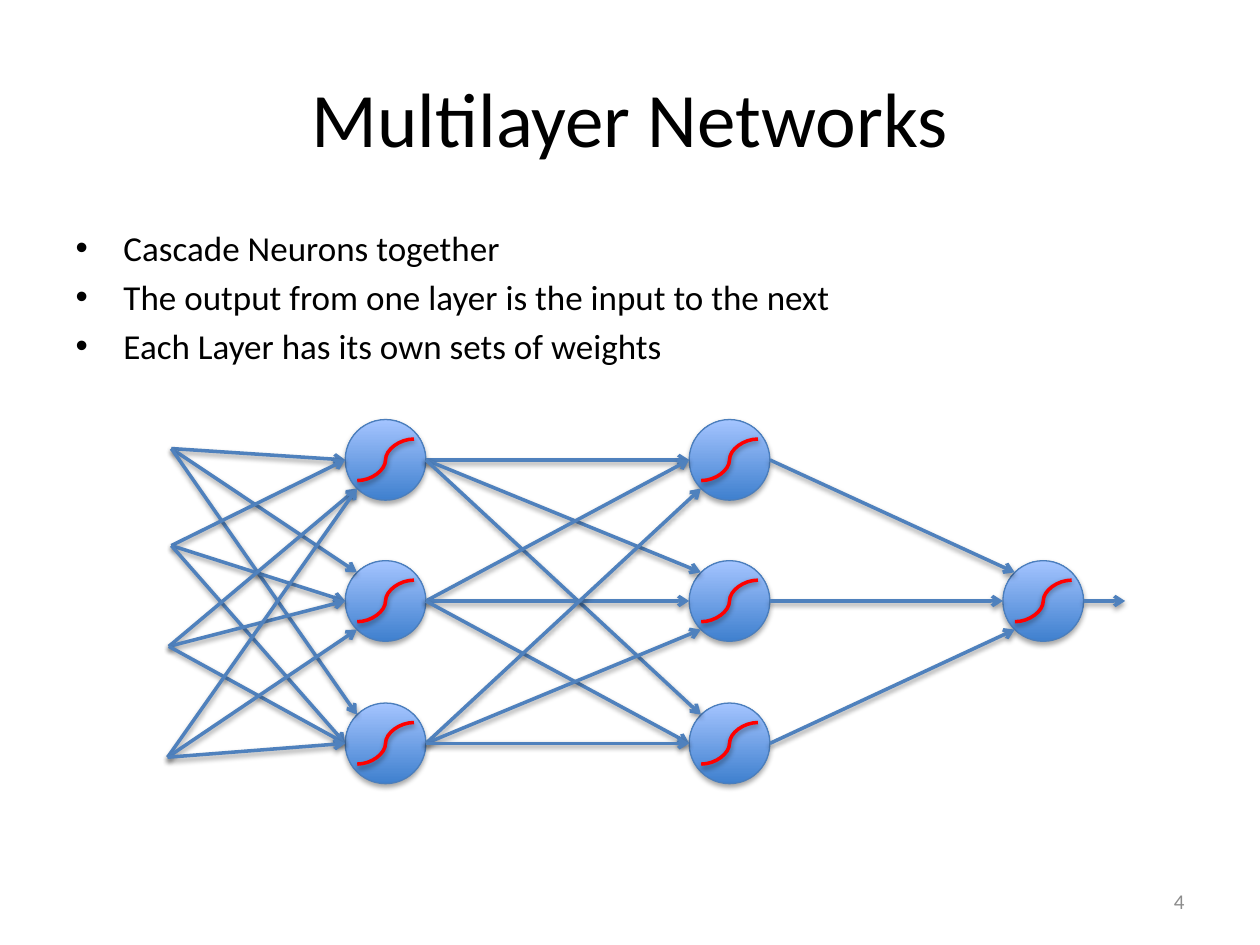
from lxml import etree
from pptx import Presentation
from pptx import util as u
from pptx.dml.color import RGBColor
from pptx.enum import shapes, text
from pptx.oxml import ns

# Content
TITLE = "Multilayer Networks"
BULLETS = [
    "Cascade Neurons together",
    "The output from one layer is the input to the next",
    "Each Layer has its own sets of weights",
]
PAGE_NUMBER = "4"

# Network geometry in inches
DIAMETER = 0.64
RADIUS = DIAMETER / 2
ROW_Y = [3.65, 4.77, 5.9]
LAYERS = [
    [(3.06, y) for y in ROW_Y],
    [(5.79, y) for y in ROW_Y],
    [(8.28, ROW_Y[1])],
]
INPUTS = [(1.36, 3.56), (1.36, 4.33), (1.34, 5.13), (1.33, 6.01)]
OUTPUT_LENGTH = 0.33
CURVE_WIDTH, CURVE_HEIGHT = 0.45, 0.33

# Where arrows enter a neuron: one row per source, one letter per target
# (U upper left, L left, D lower left)
ENTRIES = [
    ["LUU", "LLL", "DLL", "DDL"],
    ["LUU", "LLL", "DDL"],
    ["U", "L", "D"],
]
DIAGONAL = RADIUS * 0.71
ENTRY_OFFSETS = {"U": (-DIAGONAL, -DIAGONAL), "L": (-RADIUS, 0), "D": (-DIAGONAL, DIAGONAL)}

FONT = "Calibri"
BLACK = RGBColor(0x00, 0x00, 0x00)
GREY = RGBColor(0x8C, 0x8C, 0x8C)
RED = RGBColor(0xFF, 0x00, 0x00)
ARROW_BLUE = RGBColor(0x4F, 0x81, 0xBD)
OUTLINE_BLUE = RGBColor(0x4B, 0x7E, 0xBC)
DARK_BLUE = RGBColor(0x3F, 0x80, 0xCE)
LIGHT_BLUE = RGBColor(0xA4, 0xC4, 0xFF)


def place(shape, left, top, width, height):
    shape.left, shape.top = u.Inches(left), u.Inches(top)
    shape.width, shape.height = u.Inches(width), u.Inches(height)


def style_text(paragraph, size, color, alignment):
    paragraph.alignment = alignment
    for run in paragraph.runs:
        run.font.name = FONT
        run.font.size = u.Pt(size)
        run.font.color.rgb = color


def add_shadow(shape, distance, opacity):
    effects = etree.SubElement(shape._element.spPr, ns.qn("a:effectLst"))
    shadow = etree.SubElement(
        effects, ns.qn("a:outerShdw"), blurRad=str(u.Pt(3.1)),
        dist=str(u.Pt(distance)), dir="5400000", rotWithShape="0")
    color = etree.SubElement(shadow, ns.qn("a:srgbClr"), val="000000")
    etree.SubElement(color, ns.qn("a:alpha"), val=str(opacity * 1000))


def add_line(parent, kind, start, end, color):
    line = parent.add_connector(kind, *[u.Inches(v) for v in (*start, *end)])
    line.line.color.rgb = color
    line.line.width = u.Pt(2)
    add_shadow(line, 1.6, 38)
    return line


def add_arrow(slide, start, end):
    arrow = add_line(slide.shapes, shapes.MSO_CONNECTOR.STRAIGHT, start, end, ARROW_BLUE)
    etree.SubElement(arrow.line._get_or_add_ln(), ns.qn("a:tailEnd"), type="arrow")


def add_neuron(slide, x, y):
    group = slide.shapes.add_group_shape().shapes
    circle = group.add_shape(
        shapes.MSO_SHAPE.OVAL, u.Inches(x - RADIUS), u.Inches(y - RADIUS),
        u.Inches(DIAMETER), u.Inches(DIAMETER))
    circle.fill.gradient()
    circle.fill.gradient_angle = 90
    for stop, color, position in zip(
            circle.fill.gradient_stops, (DARK_BLUE, LIGHT_BLUE), (0, 1)):
        stop.color.rgb = color
        stop.position = position
    circle.line.color.rgb = OUTLINE_BLUE
    circle.line.width = u.Pt(0.75)
    add_shadow(circle, 1.8, 35)
    # Sigmoid curve
    dx, dy = CURVE_WIDTH / 2, CURVE_HEIGHT / 2
    add_line(group, shapes.MSO_CONNECTOR.CURVE, (x - dx, y + dy), (x + dx, y - dy), RED)


def main():
    presentation = Presentation()
    presentation.slide_width, presentation.slide_height = u.Inches(10), u.Inches(7.5)
    slide = presentation.slides.add_slide(presentation.slide_layouts[1])

    # Title
    title = slide.shapes.title
    place(title, 0.5, 0.3, 9, 1.25)
    title.text_frame.text = TITLE
    title.text_frame.vertical_anchor = text.MSO_ANCHOR.MIDDLE
    style_text(title.text_frame.paragraphs[0], 44, BLACK, text.PP_ALIGN.CENTER)

    # Bullet list
    body = slide.placeholders[1]
    place(body, 0.5, 1.75, 9, 1.32)
    body.text_frame.text = "\n".join(BULLETS)
    for index, paragraph in enumerate(body.text_frame.paragraphs):
        properties = paragraph._p.get_or_add_pPr()
        properties.set("marL", str(u.Inches(0.38)))
        properties.set("indent", str(-u.Inches(0.38)))
        etree.SubElement(properties, ns.qn("a:buChar"), char="•")
        paragraph.space_before = u.Pt(4 if index else 0)
        style_text(paragraph, 20, BLACK, text.PP_ALIGN.LEFT)

    # Neurons
    for layer in LAYERS:
        for x, y in layer:
            add_neuron(slide, x, y)

    # Weighted connections between successive layers
    exits = [[(x + RADIUS, y) for x, y in layer] for layer in LAYERS]
    for sources, targets, entries in zip([INPUTS, *exits], LAYERS, ENTRIES):
        for source, letters in zip(sources, entries):
            for (x, y), letter in zip(targets, letters):
                dx, dy = ENTRY_OFFSETS[letter]
                add_arrow(slide, source, (x + dx, y + dy))

    # Network output
    x, y = exits[-1][0]
    add_arrow(slide, (x, y), (x + OUTPUT_LENGTH, y))

    # Page number
    number = slide.shapes.add_textbox(0, 0, 0, 0)
    place(number, 7.17, 6.95, 2.33, 0.4)
    number.text_frame.word_wrap = True
    number.text_frame.vertical_anchor = text.MSO_ANCHOR.MIDDLE
    number.text_frame.text = PAGE_NUMBER
    style_text(number.text_frame.paragraphs[0], 12, GREY, text.PP_ALIGN.RIGHT)

    presentation.save("out.pptx")


if __name__ == "__main__":
    main()
